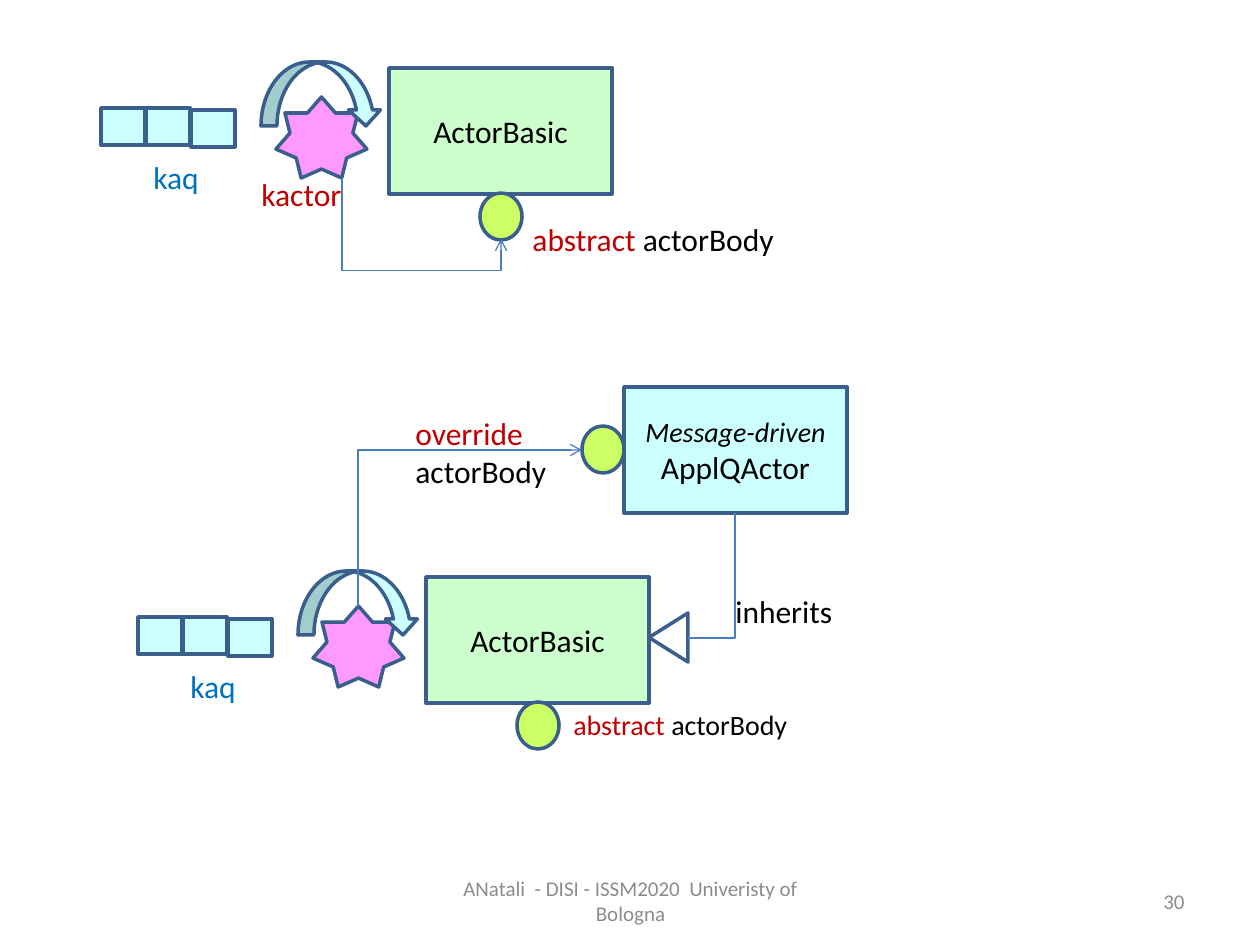
import pptx
import pptx.dml.color
import pptx.enum.shapes
import pptx.enum.text
import pptx.oxml.ns
import pptx.util
from lxml import etree

PX = 914400 / 126
SHAPE = pptx.enum.shapes.MSO_SHAPE
ALIGN = pptx.enum.text.PP_ALIGN
MIDDLE = pptx.enum.text.MSO_ANCHOR.MIDDLE
OUTLINE, WIRE = "3A5F8C", "4B7EBC"
CYAN, GREEN, LIME, PINK = "CCFFFF", "CCFFCC", "CCFF66", "FF99FF"
BLACK, RED, BLUE, GREY = "000000", "C00000", "0070C0", "8C8C8C"


def emu(*lengths):
    return [round(length * PX) for length in lengths]


def color(code):
    return pptx.dml.color.RGBColor.from_string(code)


def write(frame, paragraphs, align=ALIGN.LEFT):
    """Each paragraph is a list of (text, size, colour, italic) runs."""
    for index, runs in enumerate(paragraphs):
        para = frame.add_paragraph() if index else frame.paragraphs[0]
        para.alignment = align
        for text, size, code, italic in runs:
            span = para.add_run()
            span.text = text
            span.font.name = "Calibri"
            span.font.size = pptx.util.Pt(size)
            span.font.italic = italic
            span.font.color.rgb = color(code)


def add_shape(page, kind, box, fill, paragraphs=()):
    shape = page.shapes.add_shape(kind, *emu(*box))
    shape.shadow.inherit = False
    shape.fill.solid()
    shape.fill.fore_color.rgb = color(fill)
    shape.line.color.rgb = color(OUTLINE)
    shape.line.width = pptx.util.Pt(2)
    shape.text_frame.vertical_anchor = MIDDLE
    write(shape.text_frame, paragraphs, ALIGN.CENTER)
    return shape


def add_label(page, box, paragraphs):
    frame = page.shapes.add_textbox(*emu(*box)).text_frame
    frame.word_wrap = False
    frame.auto_size = pptx.enum.text.MSO_AUTO_SIZE.SHAPE_TO_FIT_TEXT
    write(frame, paragraphs)


def add_wire(page, box, turn, flips="", preset="bentConnector2", bend=None, arrow=True):
    """Draw an elbow line; box is its frame before the turn in degrees."""
    left, top, width, height = box
    wire = page.shapes.add_connector(
        pptx.enum.shapes.MSO_CONNECTOR.ELBOW,
        *emu(left, top, left + width, top + height))
    wire.line.color.rgb = color(WIRE)
    wire.line.width = pptx.util.Pt(0.75)
    qn = pptx.oxml.ns.qn
    props = wire._element.spPr
    frame = props.find(qn("a:xfrm"))
    frame.set("rot", str(turn * 60000))
    for axis in flips:
        frame.set("flip" + axis.upper(), "1")
    outline = props.find(qn("a:prstGeom"))
    outline.set("prst", preset)
    if bend is not None:
        guides = outline.find(qn("a:avLst"))
        if guides is None:
            guides = etree.SubElement(outline, qn("a:avLst"))
        etree.SubElement(guides, qn("a:gd"), name="adj1", fmla=f"val {bend}")
    if arrow:
        etree.SubElement(props.find(qn("a:ln")), qn("a:tailEnd"), type="arrow")
    etree.SubElement(props, qn("a:effectLst"))


def draw_actor(page, left, top):
    """Queue, event loop, actor box and its body port."""
    def at(x, y, width, height):
        return left + x, top + y, width, height

    add_shape(page, SHAPE.STAR_7_POINT, at(175, 35, 91, 81), PINK)
    add_shape(page, SHAPE.RECTANGLE, at(288, 6, 223, 126), GREEN,
              [[("ActorBasic", 18, BLACK, False)]])
    add_shape(page, SHAPE.CURVED_DOWN_ARROW, at(160, 0, 121, 64), CYAN)
    for x, y in ((90, 48), (45, 46), (0, 46)):
        add_shape(page, SHAPE.RECTANGLE, at(x, y, 44, 37), CYAN)
    add_shape(page, SHAPE.OVAL, at(379, 131, 42, 47), LIME)
    add_label(page, at(40, 90, 72, 50), [[("kaq", 18, BLUE, False)]])


def draw_basic(page, left, top):
    """Actor whose loop calls its own abstract body."""
    draw_actor(page, left, top)
    add_wire(page, (left + 290, top + 67, 61, 159), 270, "h", "bentConnector3", 151200)
    add_label(page, (left + 419, top + 152, 268, 50),
              [[("abstract ", 18, RED, False), ("actorBody", 18, BLACK, False)]])
    add_label(page, (left + 148, top + 107, 108, 50), [[("kactor", 18, RED, False)]])


def draw_derived(page, left, top):
    """Actor inherited by an application actor that overrides the body."""
    draw_actor(page, left, top + 184)
    add_shape(page, SHAPE.RECTANGLE, (left + 486, top, 223, 126), CYAN,
              [[("Message-driven", 16, BLACK, True)],
               [("ApplQActor", 18, BLACK, False)]])
    triangle = add_shape(page, SHAPE.ISOSCELES_TRIANGLE,
                         (left + 506, top + 231, 49, 39), "FFFFFF")
    triangle.rotation = 270
    add_label(page, (left + 265, top + 21, 158, 89),
              [[("override", 18, RED, False)], [("actorBody", 18, BLACK, False)]])
    add_shape(page, SHAPE.OVAL, (left + 444, top + 39, 42, 47), LIME)
    add_wire(page, (left + 254, top + 29, 156, 224), 90, "hv")
    add_label(page, (left + 585, top + 199, 123, 50), [[("inherits", 18, BLACK, False)]])
    add_wire(page, (left + 511, top + 165, 125, 47), 90, arrow=False)
    add_label(page, (left + 423, top + 314, 242, 47),
              [[("abstract ", 16, RED, False), ("actorBody", 16, BLACK, False)]])


def draw_footer(page, top, height):
    parts = (
        (431, 399, "ANatali  - DISI - ISSM2020  Univeristy of Bologna", ALIGN.CENTER),
        (903, 294, "30", ALIGN.RIGHT),
    )
    for left, width, text, align in parts:
        frame = page.shapes.add_textbox(*emu(left, top, width, height)).text_frame
        frame.word_wrap = True
        frame.vertical_anchor = MIDDLE
        write(frame, [[(text, 12, GREY, False)]], align)


def main():
    deck = pptx.Presentation()
    deck.slide_width, deck.slide_height = emu(1260, 945)
    page = deck.slides.add_slide(deck.slide_layouts[6])
    draw_footer(page, 876, 50)
    draw_basic(page, 101, 62)
    draw_derived(page, 138, 387)
    deck.save("out.pptx")


if __name__ == "__main__":
    main()
